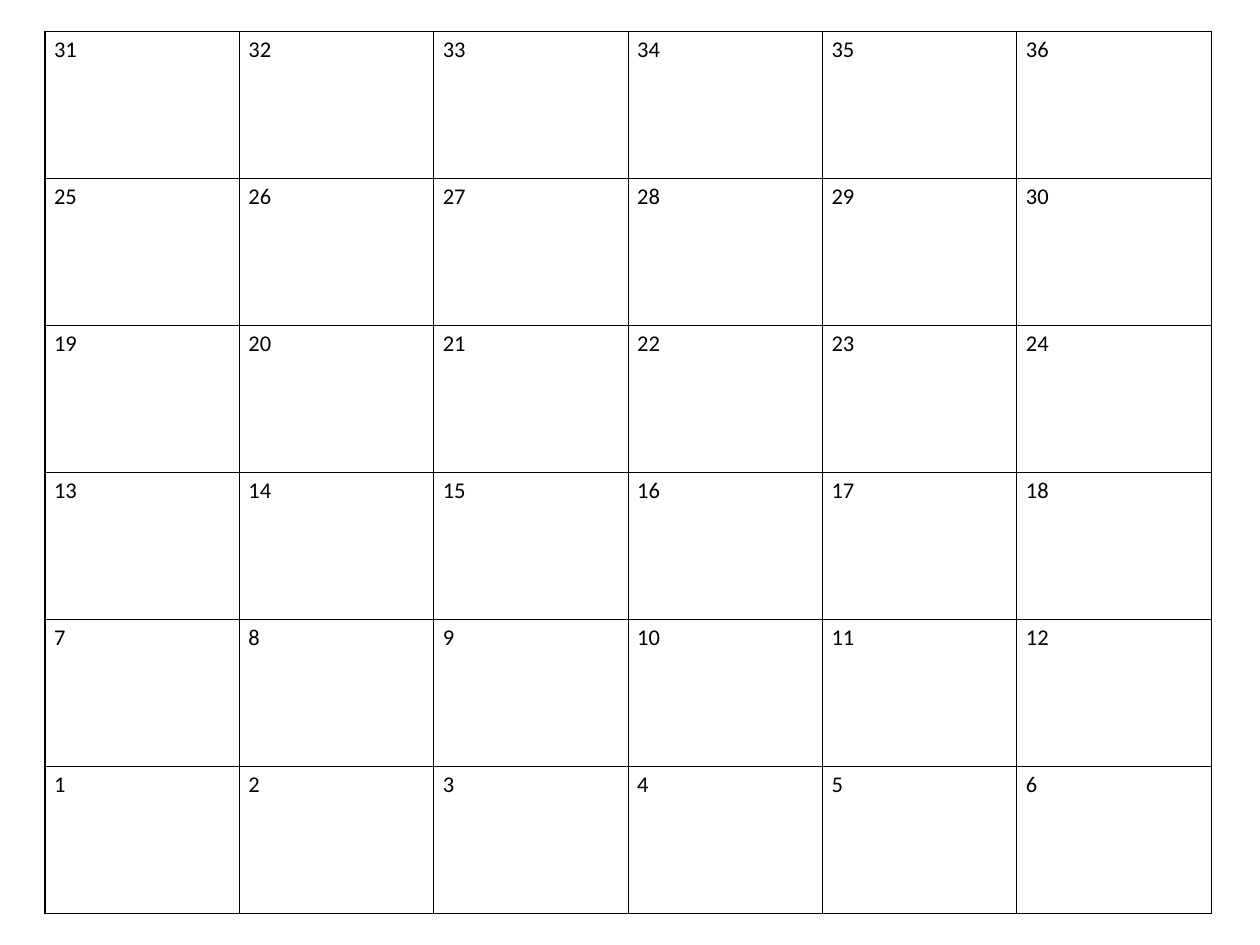
from lxml import etree
from pptx import Presentation
from pptx.dml.color import RGBColor
from pptx.oxml.ns import qn
from pptx.util import Cm, Pt

COLORS = {"paper": "FFFFFF", "ink": "000000"}
FONT = "Calibri"
ROWS = 6
COLUMNS = 6


def add_borders(cell, color, width):
    properties = cell._tc.get_or_add_tcPr()
    for side in ("a:lnL", "a:lnR", "a:lnT", "a:lnB"):
        line = etree.SubElement(properties, qn(side), w=str(width))
        fill = etree.SubElement(line, qn("a:solidFill"))
        etree.SubElement(fill, qn("a:srgbClr"), val=color)


def fill_cell(cell, text):
    add_borders(cell, COLORS["ink"], Pt(1))
    cell.fill.solid()
    cell.fill.fore_color.rgb = RGBColor.from_string(COLORS["paper"])
    run = cell.text_frame.paragraphs[0].add_run()
    run.text = text
    run.font.name = FONT
    run.font.size = Pt(18)
    run.font.bold = False
    run.font.color.rgb = RGBColor.from_string(COLORS["ink"])


def add_number_board(slide, left, top, width, height):
    table = slide.shapes.add_table(ROWS, COLUMNS, left, top, width, height).table
    table.first_row = False
    table.horz_banding = False
    for row in range(ROWS):
        first_number = (ROWS - 1 - row) * COLUMNS + 1
        for column in range(COLUMNS):
            fill_cell(table.cell(row, column), str(first_number + column))


def main():
    presentation = Presentation()
    presentation.slide_width = Cm(35.56)
    presentation.slide_height = Cm(26.67)
    slide = presentation.slides.add_slide(presentation.slide_layouts[6])
    add_number_board(slide, Cm(1.27), Cm(0.89), Cm(32.92), Cm(24.9))
    presentation.save("out.pptx")


if __name__ == "__main__":
    main()
